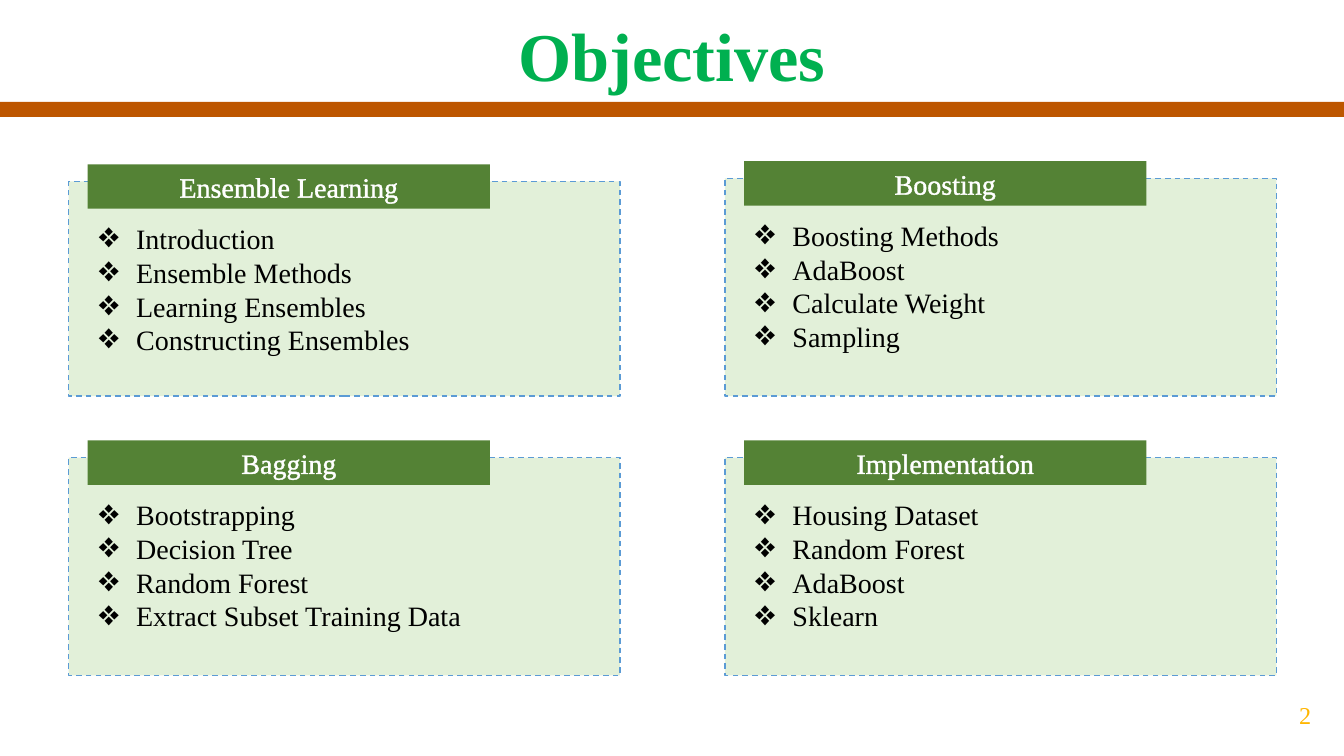
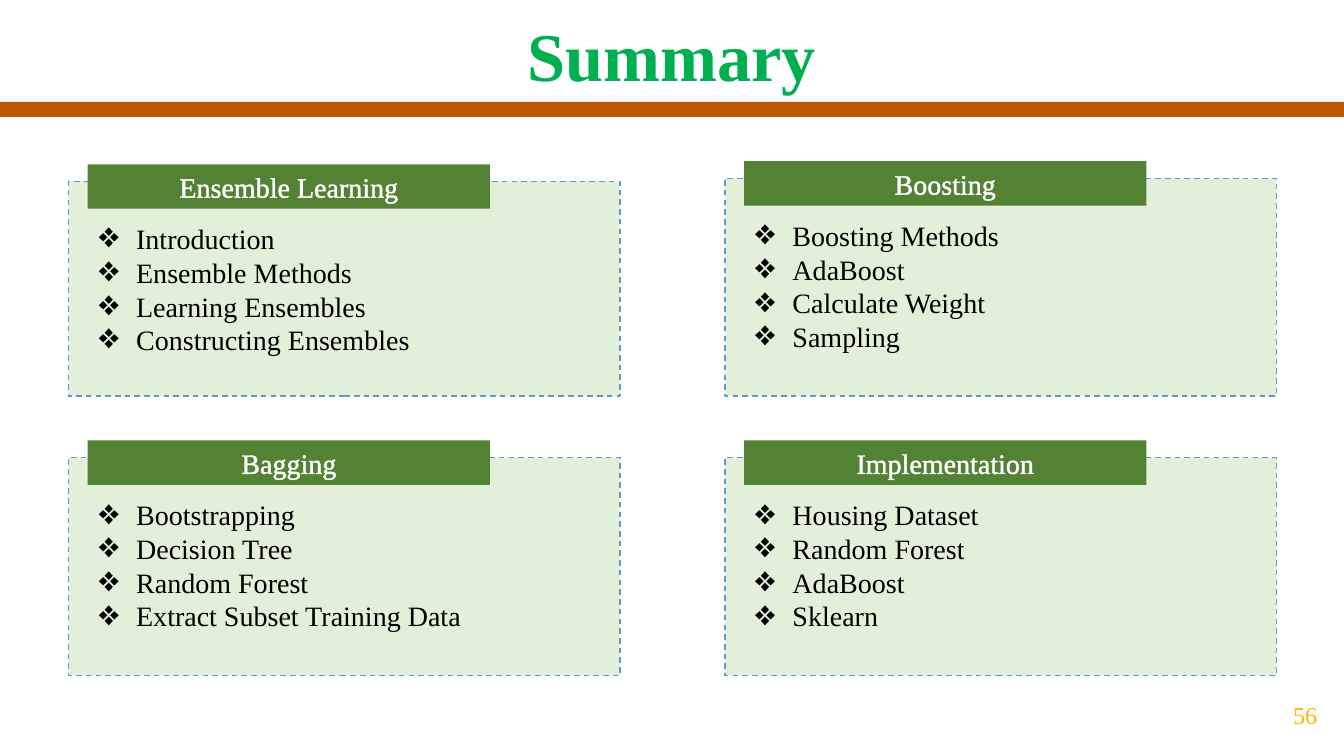
from lxml import etree
from pptx import Presentation
from pptx.dml.color import RGBColor
from pptx.enum.dml import MSO_LINE
from pptx.enum.shapes import MSO_SHAPE
from pptx.enum.text import MSO_ANCHOR, MSO_AUTO_SIZE, PP_ALIGN
from pptx.oxml.ns import qn
from pptx.util import Inches, Pt

RECT = MSO_SHAPE.RECTANGLE
DASH = MSO_LINE.DASH
TOP, MIDDLE, BOTTOM = MSO_ANCHOR.TOP, MSO_ANCHOR.MIDDLE, MSO_ANCHOR.BOTTOM
NO_FIT = MSO_AUTO_SIZE.NONE
LEFT, CENTER = PP_ALIGN.LEFT, PP_ALIGN.CENTER

FONT = "Times New Roman"
COLORS = {
    "title": "00B050",
    "band": "BD5600",
    "panel": "E2F0D9",
    "panel_line": "5B9BD5",
    "tab": "548235",
    "tab_text": "FFFFFF",
    "list": "000000",
    "number": "FFB600",
}

SLIDE_W, SLIDE_H = 13.33, 7.5
COMPARISON_LAYOUT = 4  # a title and four body placeholders

# Panel grid: each tab overlaps the top edge of its panel
COLUMNS = (0.68, 7.19)
PANEL_W = 5.47
TAB_W, TAB_H = 3.99, 0.44
TAB_INSET, TAB_RISE = 0.19, 0.17
LIST_DROP, LIST_H = 0.52, 1.78
LIST_INDENT = 0.38
UPPER_BOTTOM, LOWER_BOTTOM = 3.93, 6.7
LOWER_TOP = 4.54

# Column, panel top, panel bottom, heading, list
TOPICS = [
    (0, 1.8, UPPER_BOTTOM, "Ensemble Learning",
     ["Introduction", "Ensemble Methods", "Learning Ensembles",
      "Constructing Ensembles"]),
    (0, LOWER_TOP, LOWER_BOTTOM, "Bagging",
     ["Bootstrapping", "Decision Tree", "Random Forest",
      "Extract Subset Training Data"]),
    (1, 1.77, UPPER_BOTTOM, "Boosting",
     ["Boosting Methods", "AdaBoost", "Calculate Weight", "Sampling"]),
    (1, LOWER_TOP, LOWER_BOTTOM, "Implementation",
     ["Housing Dataset", "Random Forest", "AdaBoost", "Sklearn"]),
]

SLIDES = [("Objectives", "2"), ("Summary", "56")]


def rgb(role):
    return RGBColor.from_string(COLORS[role])


def place(shape, left, top, width, height):
    shape.left, shape.top = Inches(left), Inches(top)
    shape.width, shape.height = Inches(width), Inches(height)


def write(paragraph, text, role, size, bold=False, align=CENTER):
    paragraph.alignment = align
    run = paragraph.add_run()
    run.text = text
    font = run.font
    font.name, font.size, font.bold = FONT, Pt(size), bold
    font.color.rgb = rgb(role)
    return run


def set_frame(shape, anchor):
    frame = shape.text_frame
    frame.word_wrap = True
    frame.auto_size = NO_FIT
    frame.vertical_anchor = anchor
    return frame


def add_box(slide, left, top, width, height, fill):
    box = slide.shapes.add_shape(RECT, Inches(left), Inches(top),
                                 Inches(width), Inches(height))
    box.shadow.inherit = False
    box.fill.solid()
    box.fill.fore_color.rgb = rgb(fill)
    box.line.fill.background()
    return box


def outline_text(run, role, width):
    properties = run.font._element
    outline = etree.Element(qn("a:ln"), w=str(Pt(width)))
    fill = etree.SubElement(outline, qn("a:solidFill"))
    etree.SubElement(fill, qn("a:srgbClr"), val=COLORS[role])
    properties.insert(0, outline)


def set_bullet(paragraph):
    properties = paragraph._p.get_or_add_pPr()
    properties.set("marL", str(Inches(LIST_INDENT)))
    properties.set("indent", str(-Inches(LIST_INDENT)))
    etree.SubElement(properties, qn("a:buFont"), typeface=FONT)
    etree.SubElement(properties, qn("a:buChar"), char="❖")


def add_title(slide, text):
    title = slide.shapes.title
    place(title, 0, 0.06, SLIDE_W, 0.95)
    frame = set_frame(title, BOTTOM)
    frame.margin_bottom = Inches(0.07)
    write(frame.paragraphs[0], text, "title", 48.8, bold=True)


def add_list(slide, body, items, left, top, width):
    place(body, left, top, width, LIST_H)
    frame = set_frame(body, TOP)
    for index, item in enumerate(items):
        paragraph = frame.add_paragraph() if index else frame.paragraphs[0]
        set_bullet(paragraph)
        paragraph.space_before = Pt(0)
        write(paragraph, item, "list", 20, align=LEFT)
    # Bring the list in front of its panel
    slide.shapes._spTree.append(body._element)


def add_topic(slide, body, column, top, bottom, heading, items):
    left = COLUMNS[column]
    panel = add_box(slide, left, top, PANEL_W, bottom - top, "panel")
    panel.line.color.rgb = rgb("panel_line")
    panel.line.width = Pt(1)
    panel.line.dash_style = DASH

    tab_left, tab_top = left + TAB_INSET, top - TAB_RISE
    tab = add_box(slide, tab_left, tab_top, TAB_W, TAB_H, "tab")
    frame = set_frame(tab, MIDDLE)
    label = write(frame.paragraphs[0], heading, "tab_text", 20)
    outline_text(label, "tab_text", 0.75)

    add_list(slide, body, items, tab_left, tab_top + LIST_DROP,
             PANEL_W - TAB_INSET)


def add_number(slide, number):
    box = slide.shapes.add_textbox(Inches(12.55), Inches(6.69),
                                   Inches(0.79), Inches(0.81))
    frame = set_frame(box, MIDDLE)
    write(frame.paragraphs[0], number, "number", 17.3)


def add_topic_slide(deck, title, number):
    slide = deck.slides.add_slide(deck.slide_layouts[COMPARISON_LAYOUT])
    bodies = list(slide.placeholders)[1:]
    add_box(slide, 0, 1.01, SLIDE_W, 0.15, "band")
    add_title(slide, title)
    for body, topic in zip(bodies, TOPICS):
        add_topic(slide, body, *topic)
    add_number(slide, number)


def main():
    deck = Presentation()
    deck.slide_width, deck.slide_height = Inches(SLIDE_W), Inches(SLIDE_H)
    for title, number in SLIDES:
        add_topic_slide(deck, title, number)
    deck.save("out.pptx")


if __name__ == "__main__":
    main()
